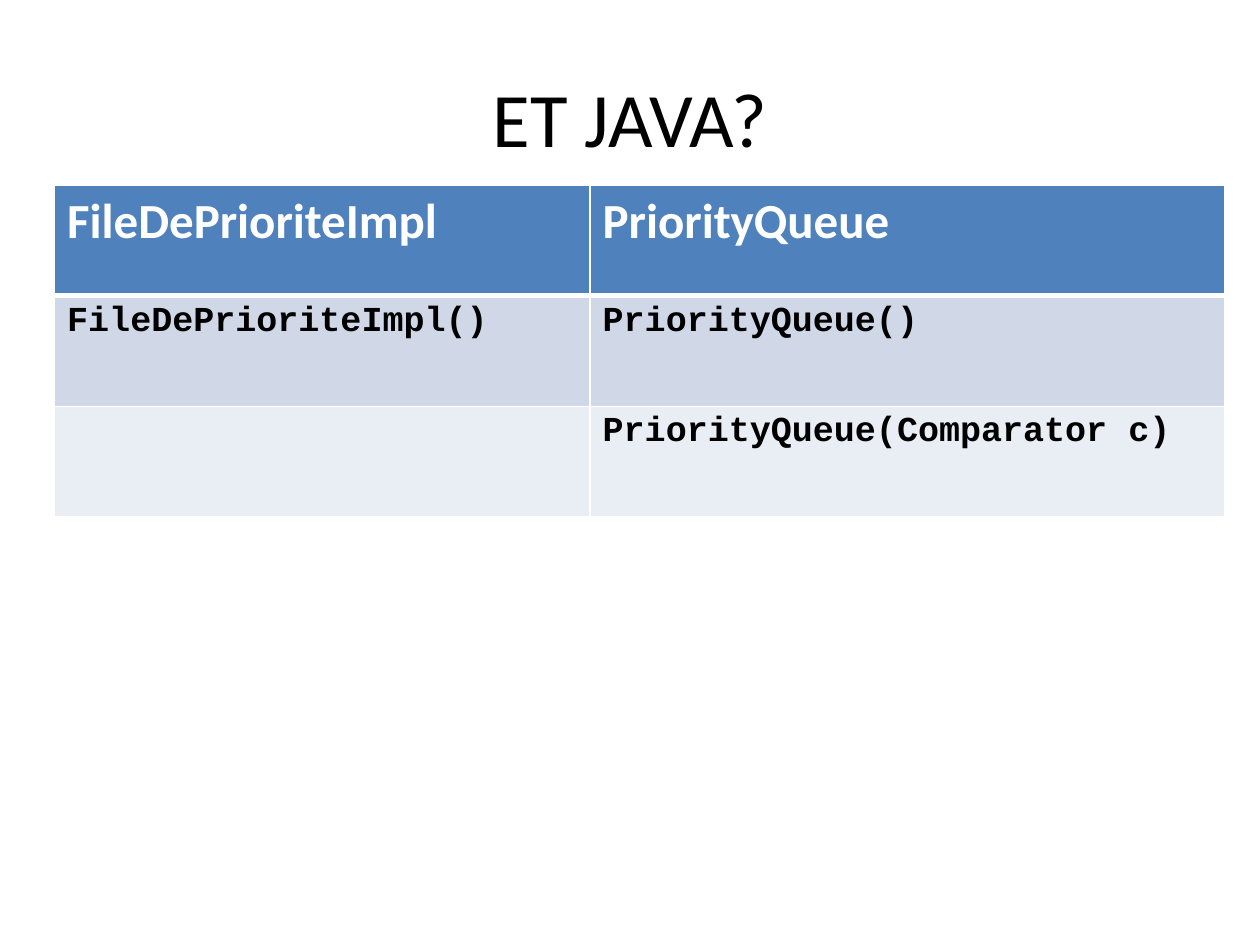
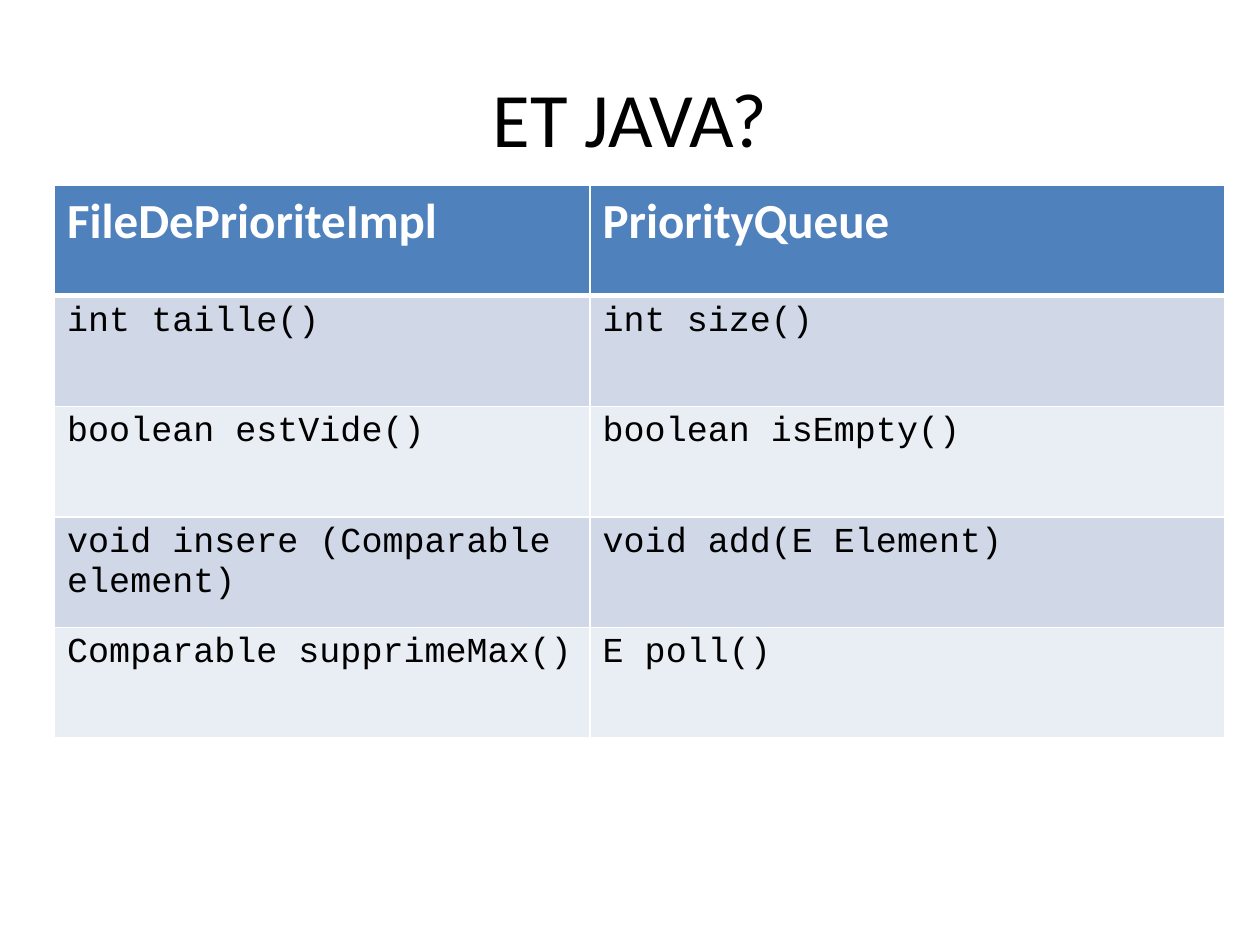
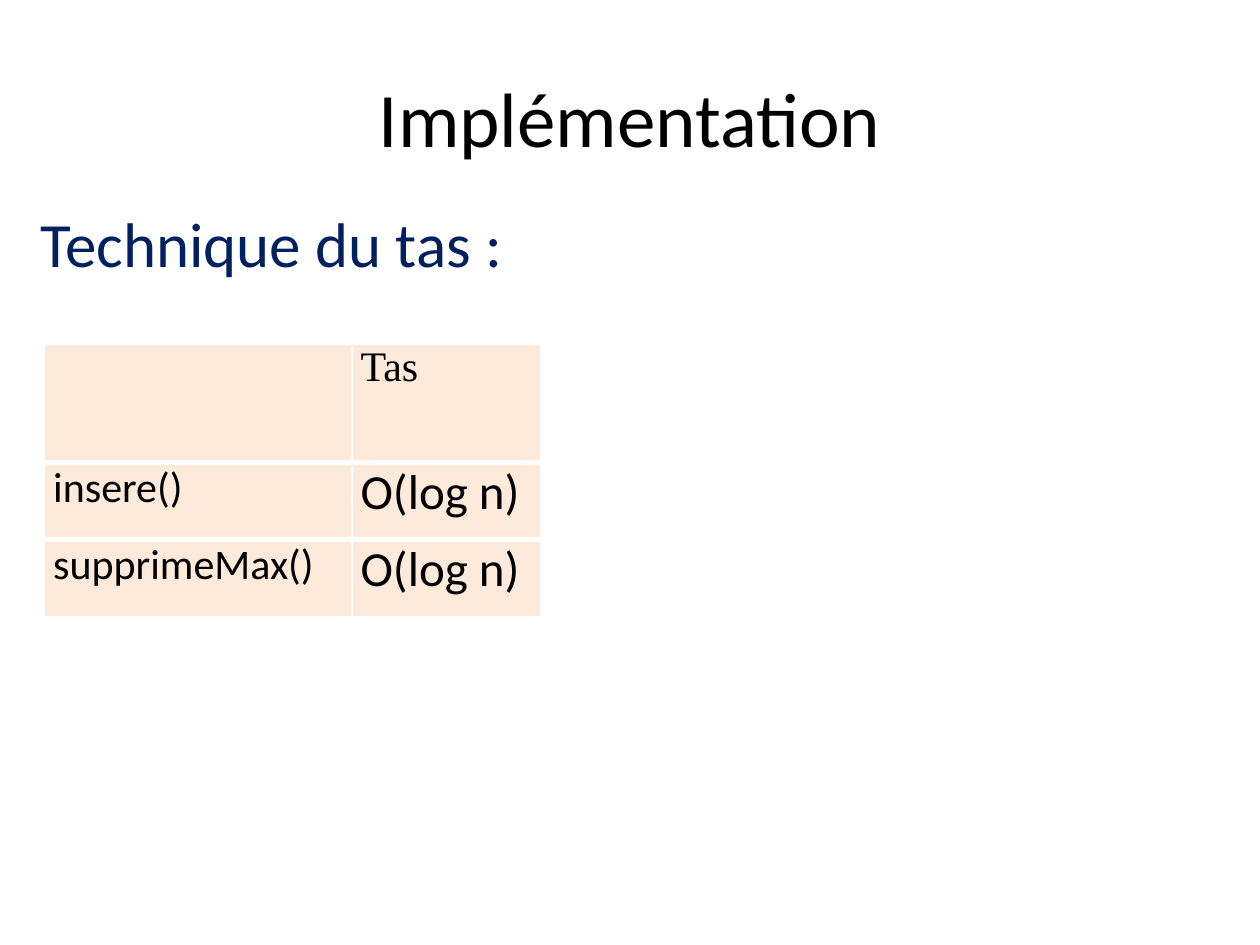
from dataclasses import dataclass
from itertools import cycle

from lxml.etree import SubElement
from pptx import Presentation
from pptx.dml.color import RGBColor
from pptx.enum.text import MSO_ANCHOR, PP_ALIGN
from pptx.oxml import parse_xml
from pptx.oxml.ns import nsdecls, qn
from pptx.slide import Slide
from pptx.table import _Cell
from pptx.text.text import TextFrame
from pptx.util import Pt


@dataclass(frozen=True)
class Style:
    """A type style."""
    name: str
    size: float
    tint: str = "000000"
    bold: bool = False


@dataclass(frozen=True)
class Theme:
    """Colours, type styles and line widths of the deck."""
    head_fill: str = "4F81BD"
    bands: tuple[str, ...] = ("D0D8E8", "E9EDF4")
    peach: str = "FDEADA"
    rule: str = "FFFFFF"
    thin: float = 1
    thick: float = 3
    title: Style = Style("Calibri", 44)
    lead: Style = Style("Calibri", 36, "002060")
    head: Style = Style("Calibri", 28, "FFFFFF", True)
    code: Style = Style("Courier New", 20)
    strong: Style = Style("Courier New", 20, bold=True)
    serif: Style = Style("Times New Roman", 24)
    label: Style = Style("Calibri", 24)
    cost: Style = Style("Calibri", 28)


@dataclass(frozen=True)
class Box:
    """A place on the slide, in points."""
    left: float
    top: float
    width: float
    height: float


@dataclass(frozen=True)
class Row:
    """A table row: its texts, their styles and its fill."""
    texts: tuple[str, ...]
    styles: tuple[Style, ...]
    fill: str
    height: float


@dataclass(frozen=True)
class Grid:
    """A table with thick rules below the rows named in heavy."""
    left: float
    top: float
    widths: tuple[float, ...]
    rows: tuple[Row, ...]
    heavy: frozenset[int]
    inset: tuple[float, float]


THEME = Theme()
TITLE_BOX = Box(36, 21.6, 648, 90)
LEAD_BOX = Box(15.84, 113.04, 702.72, 51.12)


def put_text(frame: TextFrame, text: str, style: Style, align: PP_ALIGN = PP_ALIGN.LEFT) -> None:
    """Write one styled paragraph."""
    part = frame.paragraphs[0]
    part.alignment = align
    run = part.add_run()
    run.text = text
    looks = {"name": style.name, "size": Pt(style.size), "bold": style.bold}
    for key, value in looks.items():
        setattr(run.font, key, value)
    run.font.color.rgb = RGBColor.from_string(style.tint)


def rule_cell(cell: _Cell, above: bool, below: bool) -> None:
    """Draw the four borders of a cell."""
    props = cell._tc.get_or_add_tcPr()
    sides = {"lnL": False, "lnR": False, "lnT": above, "lnB": below}
    for spot, (side, heavy) in enumerate(sides.items()):
        width = Pt(THEME.thick if heavy else THEME.thin)
        line = parse_xml(f'<a:{side} {nsdecls("a")} w="{width}"/>')
        paint = SubElement(line, qn("a:solidFill"))
        SubElement(paint, qn("a:srgbClr"), val=THEME.rule)
        props.insert(spot, line)


def add_grid(slide: Slide, grid: Grid) -> None:
    """Draw a table."""
    frame = slide.shapes.add_table(
        len(grid.rows), len(grid.widths), Pt(grid.left), Pt(grid.top),
        Pt(sum(grid.widths)), Pt(sum(row.height for row in grid.rows)))
    table = frame.table
    for key, value in {"first_row": False, "horz_banding": False}.items():
        setattr(table, key, value)
    for col, width in zip(table.columns, grid.widths):
        col.width = Pt(width)
    side, edge = map(Pt, grid.inset)
    looks = {"margin_left": side, "margin_right": side, "margin_top": edge,
             "margin_bottom": edge, "vertical_anchor": MSO_ANCHOR.TOP}
    for spot, row in enumerate(grid.rows):
        table.rows[spot].height = Pt(row.height)
        for cell, text, style in zip(table.rows[spot].cells, row.texts, row.styles):
            for key, value in looks.items():
                setattr(cell, key, value)
            cell.fill.solid()
            cell.fill.fore_color.rgb = RGBColor.from_string(row.fill)
            rule_cell(cell, spot - 1 in grid.heavy, spot in grid.heavy)
            if text:
                put_text(cell.text_frame, text, style)


def make_match(pairs: tuple[tuple[str, str], ...], style: Style) -> Grid:
    """Set the two classes side by side in a banded grid."""
    high = 63.2
    head = Row(("FileDePrioriteImpl", "PriorityQueue"), (THEME.head,) * 2, THEME.head_fill, high)
    body = (Row(pair, (style,) * 2, fill, high) for pair, fill in zip(pairs, cycle(THEME.bands)))
    return Grid(31.2, 105.84, (306, 362.88), (head, *body), frozenset({0}), (7.2, 3.6))


def make_costs() -> Grid:
    """Set out the cost of each heap method."""
    head = Row(("", "Tas"), (THEME.serif,) * 2, THEME.peach, 67.7)
    body = (Row((name, "O(log n)"), (THEME.label, THEME.cost), THEME.peach, 44.2)
            for name in ("insere()", "supprimeMax()"))
    return Grid(25.4, 196.56, (175.68, 108), (head, *body), frozenset({0, 1}), (5, 0))


def place(shape, box: Box) -> None:
    """Move and size a shape."""
    for key in ("left", "top", "width", "height"):
        setattr(shape, key, Pt(getattr(box, key)))


def add_lead(slide: Slide, text: str) -> None:
    """Add the line that leads into the table."""
    box = LEAD_BOX
    shape = slide.shapes.add_textbox(Pt(box.left), Pt(box.top), Pt(box.width), Pt(box.height))
    shape.text_frame.word_wrap = True
    put_text(shape.text_frame, text, THEME.lead)


def main() -> None:
    """Build the deck."""
    deck = Presentation()
    deck.slide_width, deck.slide_height = Pt(720), Pt(540)
    builds = (
        ("ET JAVA?", "", make_match((
            ("FileDePrioriteImpl()", "PriorityQueue()"),
            ("", "PriorityQueue(Comparator c)"),
        ), THEME.strong)),
        ("ET JAVA?", "", make_match((
            ("int taille()", "int size()"),
            ("boolean estVide()", "boolean isEmpty()"),
            ("void insere (Comparable element)", "void add(E Element)"),
            ("Comparable supprimeMax()", "E poll()"),
        ), THEME.code)),
        ("Implémentation", "Technique du tas :", make_costs()),
    )
    for title, lead, grid in builds:
        slide = deck.slides.add_slide(deck.slide_layouts[5])
        place(slide.shapes.title, TITLE_BOX)
        put_text(slide.shapes.title.text_frame, title, THEME.title, PP_ALIGN.CENTER)
        if lead:
            add_lead(slide, lead)
        add_grid(slide, grid)
    deck.save("out.pptx")


if __name__ == "__main__":
    main()
